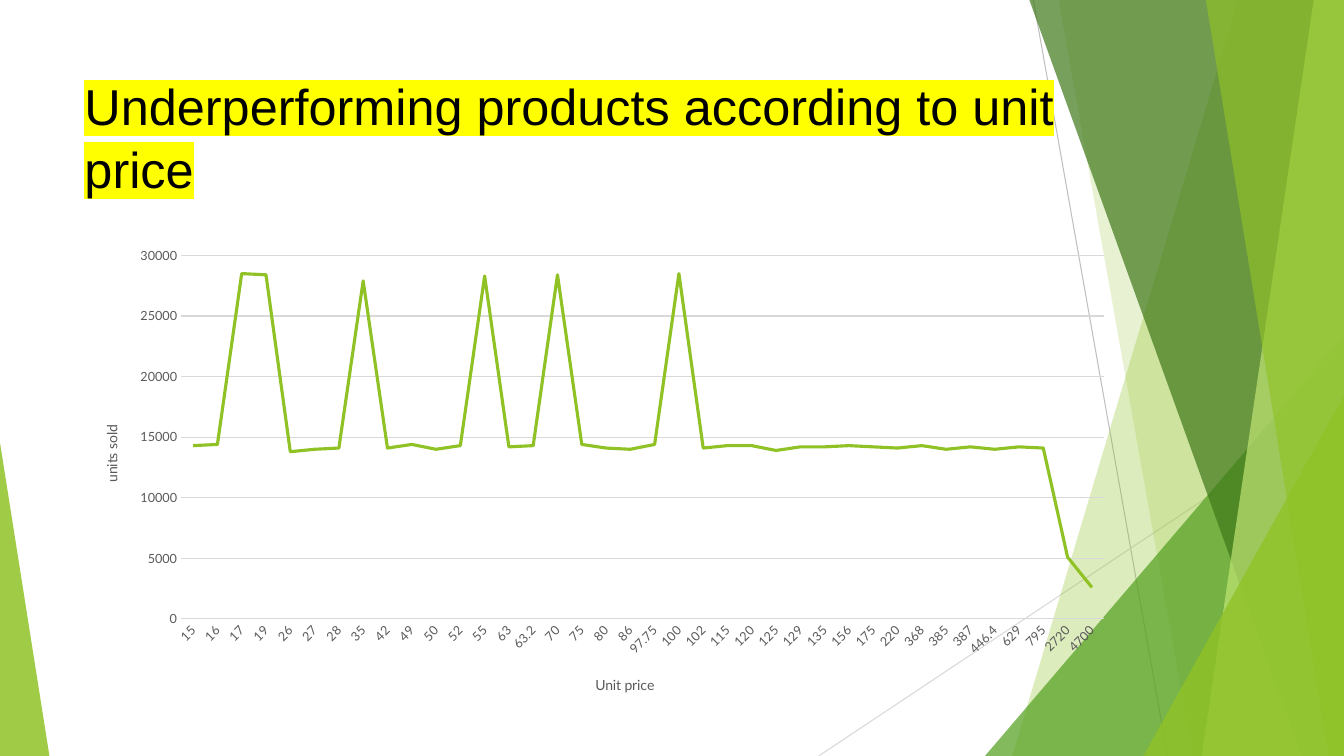
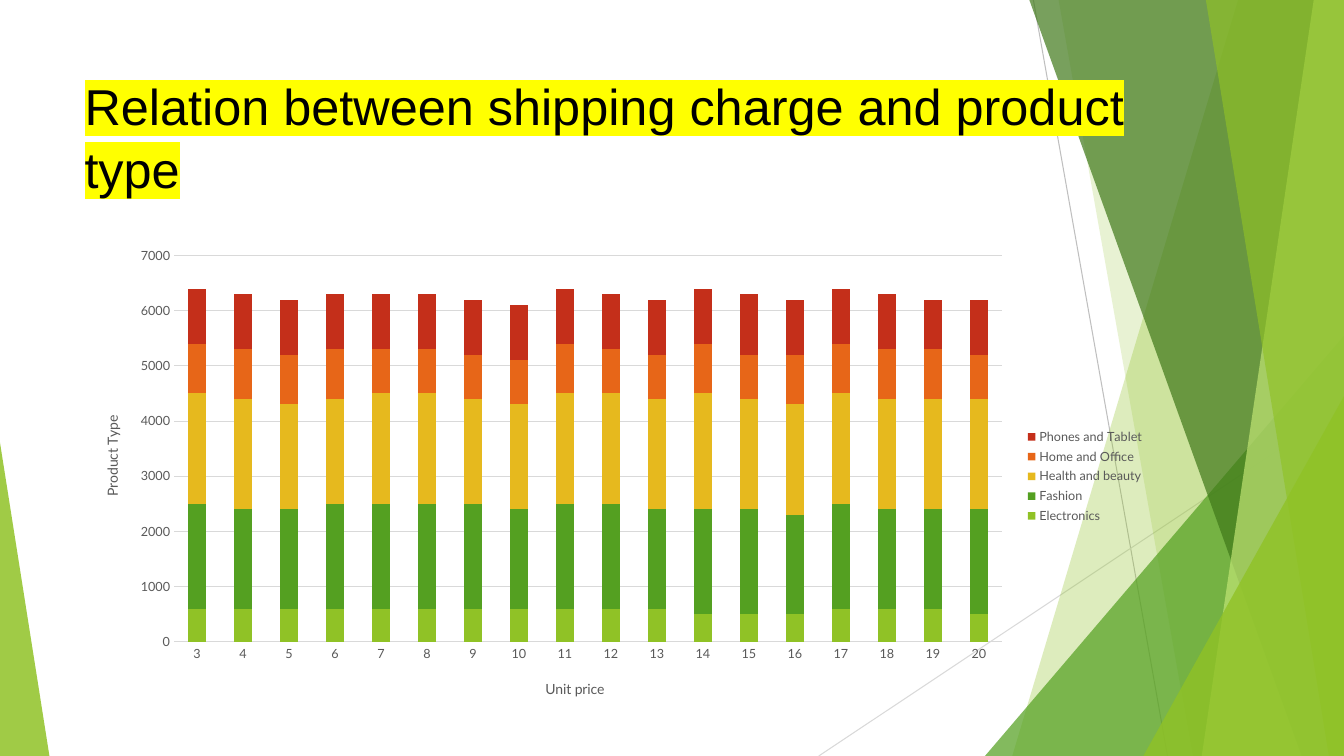
"""Build two sales chart slides on a shared green backdrop."""
import lxml.etree
import pptx
import pptx.chart.data
import pptx.dml.color
import pptx.enum.chart
import pptx.enum.shapes
import pptx.enum.text
import pptx.oxml.ns
import pptx.util

KIND = pptx.enum.chart.XL_CHART_TYPE
qn = pptx.oxml.ns.qn
WIDE, HIGH = 13.33, 7.5

THEME = {
    "lime": "90C226", "leaf": "54A021", "moss": "3F7819", "pale": "C0E474",
    "gold": "E6B91E", "rust": "E76618", "red": "C42F1A",
    "ink": "000000", "gray": "595959", "rule": "D9D9D9", "edge": "BFBFBF", "mark": "FFFF00",
    "head": "Arial", "body": "Lato", "big": 36, "mid": 10, "small": 9, "thin": 0.75, "bold": 2.25,
}

LINES = [((76.89, 0), (86.87, 100), "edge"), ((100, 53.73), (60.92, 100), "rule")]
BANDS = [
    ("wedge", 92.12, 75.32, "lime", 30),
    ("wedge", 78.77, 88.75, "lime", 20),
    ("right", 73.29, 44.4, "leaf", 72),
    ("wedge", 76.59, 96.85, "moss", 70),
    ("wedge", 97.75, 89.42, "pale", 70),
    ("wedge", 89.72, 98.87, "lime", 65),
    ("right", 85.07, 52.4, "lime", 80),
    ("left", 3.68, 58.53, "lime", 85),
]

SLIDES = [
    {
        "title": "Underperforming products according to unit price",
        "span": 82.45, "kind": KIND.LINE,
        "chart": (5.55, 31.47, 78.17, 62.4), "plot": (13.47, 33.8, 68.68, 48.08),
        "axes": [("Unit price", 44.1, 89), ("units sold", 7.4, 55.9)],
        "tilt": -45, "top": 30000, "step": 5000,
        "cats": ("15 16 17 19 26 27 28 35 42 49 50 52 55 63 63.2 70 75 80 86 97.75 100 102 115 "
                 "120 125 129 135 156 175 220 368 385 387 446.4 629 795 2720 4700").split(),
        "rows": [("Series 1", "lime", [
            143, 144, 285, 284, 138, 140, 141, 279, 141, 144, 140, 143, 283, 142, 143, 284, 144, 141, 140,
            144, 285, 141, 143, 143, 139, 142, 142, 143, 142, 141, 143, 140, 142, 140, 142, 141, 51, 26])],
    },
    {
        "title": "Relation between shipping charge and product type",
        "span": 80.42, "kind": KIND.COLUMN_STACKED,
        "chart": (5.55, 31.47, 80.35, 63.07), "plot": (12.95, 33.8, 61.6, 51.12),
        "axes": [("Unit price", 40.4, 89.55), ("Product Type", 7.45, 54.6)],
        "tilt": 0, "top": 7000, "step": 1000,
        "cats": [str(n) for n in range(3, 21)],
        "rows": [
            ("Electronics", "lime", [6, 6, 6, 6, 6, 6, 6, 6, 6, 6, 6, 5, 5, 5, 6, 6, 6, 5]),
            ("Fashion", "leaf", [19, 18, 18, 19, 19, 19, 19, 18, 19, 19, 18, 19, 19, 18, 19, 18, 18, 19]),
            ("Health and beauty", "gold",
             [20, 20, 19, 19, 20, 20, 19, 19, 20, 20, 20, 21, 20, 20, 20, 20, 20, 20]),
            ("Home and Office", "rust", [9, 9, 9, 9, 8, 8, 8, 8, 9, 8, 8, 9, 8, 9, 9, 9, 9, 8]),
            ("Phones and Tablet", "red",
             [10, 10, 10, 10, 10, 10, 10, 10, 10, 10, 10, 10, 11, 10, 10, 10, 9, 10]),
        ],
    },
]


def across(part):
    return pptx.util.Inches(WIDE * part / 100)


def down(part):
    return pptx.util.Inches(HIGH * part / 100)


def frame(left, top, width, height):
    return across(left), down(top), across(width), down(height)


def tint(name):
    return pptx.dml.color.RGBColor.from_string(THEME[name])


def style(font, size="small", color="gray", face="body"):
    font.size = pptx.util.Pt(THEME[size])
    font.bold = False
    font.color.rgb = tint(color)
    font.name = THEME[face]


def write(box, text, mark=None, space=None, **form):
    par = box.paragraphs[0]
    run = par.add_run()
    run.text = text
    style(run.font, **form)
    if space:
        par.line_spacing = space
    if mark:
        props = run._r.get_or_add_rPr()
        glow = lxml.etree.Element(qn("a:highlight"))
        lxml.etree.SubElement(glow, qn("a:srgbClr"), val=THEME[mark])
        props.find(qn("a:latin")).addprevious(glow)


def stroke(line, color, width="thin"):
    line.color.rgb = tint(color)
    line.width = pptx.util.Pt(THEME[width])


def band(shapes, kind, first, second, color, alpha):
    if kind == "wedge":
        pen = shapes.build_freeform(across(first), 0)
        pen.add_line_segments(
            [(across(100), 0), (across(100), down(100)), (across(second), down(100))], close=True)
        shape = pen.convert_to_shape()
    else:
        left, width = (first, 100 - first) if kind == "right" else (0, first)
        shape = shapes.add_shape(
            pptx.enum.shapes.MSO_SHAPE.ISOSCELES_TRIANGLE, *frame(left, second, width, 100 - second))
        shape.adjustments[0] = 1 if kind == "right" else 0
    shape.shadow.inherit = False
    shape.fill.solid()
    shape.fill.fore_color.rgb = tint(color)
    shape.line.fill.background()
    paint = shape.element.spPr.find(".//" + qn("a:srgbClr"))
    lxml.etree.SubElement(paint, qn("a:alpha"), val=str(alpha * 1000))
    return shape


def rule(shapes, start, end, color):
    line = shapes.add_connector(
        pptx.enum.shapes.MSO_CONNECTOR.STRAIGHT,
        across(start[0]), down(start[1]), across(end[0]), down(end[1]))
    stroke(line.line, color)
    lxml.etree.SubElement(line.element.spPr, qn("a:effectLst"))
    return line


def dress(layout, slide):
    for old in list(layout.placeholders):
        old.element.getparent().remove(old.element)
    parts = [rule(slide.shapes, *line) for line in LINES]
    parts += [band(slide.shapes, *item) for item in BANDS]
    for part in parts:
        layout.shapes.element.append(part.element)


def place(node, index, chart, spot):
    """Pin a chart part to a spot given in slide shares."""
    for old in node.findall(qn("c:layout")):
        node.remove(old)
    outer = lxml.etree.Element(qn("c:layout"))
    inner = lxml.etree.SubElement(outer, qn("c:manualLayout"))
    left, top, width, height = chart
    vals = [("x", (spot[0] - left) / width), ("y", (spot[1] - top) / height)]
    if len(spot) == 4:
        lxml.etree.SubElement(inner, qn("c:layoutTarget"), val="inner")
        vals += [("w", spot[2] / width), ("h", spot[3] / height)]
    for key, _ in vals[:2]:
        lxml.etree.SubElement(inner, qn(f"c:{key}Mode"), val="edge")
    for key, share in vals:
        lxml.etree.SubElement(inner, qn("c:" + key), val=f"{share:.4f}")
    node.insert(index, outer)


def turn(node, angle):
    body = node.find(".//" + qn("a:bodyPr"))
    body.set("rot", str(angle * 60000))
    body.set("vert", "horz")


def label(axis, chart, text, left, top, angle):
    title = axis.axis_title
    write(title.text_frame, text, size="mid")
    node = title.text_frame._txBody.getparent().getparent()
    turn(node, angle)
    place(node, 1, chart, (left, top))


def plot(slide, item):
    data = pptx.chart.data.CategoryChartData()
    data.categories = item["cats"]
    for name, _, vals in item["rows"]:
        data.add_series(name, [val * 100 for val in vals])
    chart = slide.shapes.add_chart(item["kind"], *frame(*item["chart"]), data).chart
    style(chart.font, size="mid", color="ink")
    chart.has_title = False
    chart.has_legend = len(item["rows"]) > 1
    if chart.has_legend:
        chart.legend.position = pptx.enum.chart.XL_LEGEND_POSITION.RIGHT
        chart.legend.include_in_layout = False
        style(chart.legend.font)
    cat, val = chart.category_axis, chart.value_axis
    for axis, words, angle in zip((cat, val), item["axes"], (0, -90)):
        axis.major_tick_mark = axis.minor_tick_mark = pptx.enum.chart.XL_TICK_MARK.NONE
        style(axis.tick_labels.font)
        label(axis, item["chart"], *words, angle)
    cat.has_major_gridlines = False
    stroke(cat.format.line, "rule")
    if item["tilt"]:
        turn(chart.element.find(".//" + qn("c:catAx")).find(qn("c:txPr")), item["tilt"])
    val.minimum_scale, val.maximum_scale, val.major_unit = 0, item["top"], item["step"]
    val.format.line.fill.background()
    stroke(val.major_gridlines.format.line, "rule")
    group = chart.plots[0]
    group.vary_by_categories = False
    for line, (_, color, _) in zip(group.series, item["rows"]):
        if item["kind"] == KIND.LINE:
            line.smooth = False
            line.marker.style = pptx.enum.chart.XL_MARKER_STYLE.NONE
            stroke(line.format.line, color, "bold")
        else:
            line.format.fill.solid()
            line.format.fill.fore_color.rgb = tint(color)
    if item["kind"] == KIND.COLUMN_STACKED:
        group.gap_width, group.overlap = 150, 100
    place(chart.element.find(".//" + qn("c:plotArea")), 0, item["chart"], item["plot"])


def main():
    deck = pptx.Presentation()
    deck.slide_width, deck.slide_height = across(100), down(100)
    blank = deck.slide_layouts[6]
    for index, item in enumerate(SLIDES):
        slide = deck.slides.add_slide(blank)
        if index == 0:
            dress(blank, slide)
        box = slide.shapes.add_textbox(*frame(5.55, 8.93, item["span"], 19.2)).text_frame
        box.word_wrap = True
        box.vertical_anchor = pptx.enum.text.MSO_ANCHOR.TOP
        write(box, item["title"], size="big", color="ink", face="head", mark="mark", space=1.04)
        plot(slide, item)
    deck.save("out.pptx")


if __name__ == "__main__":
    main()
